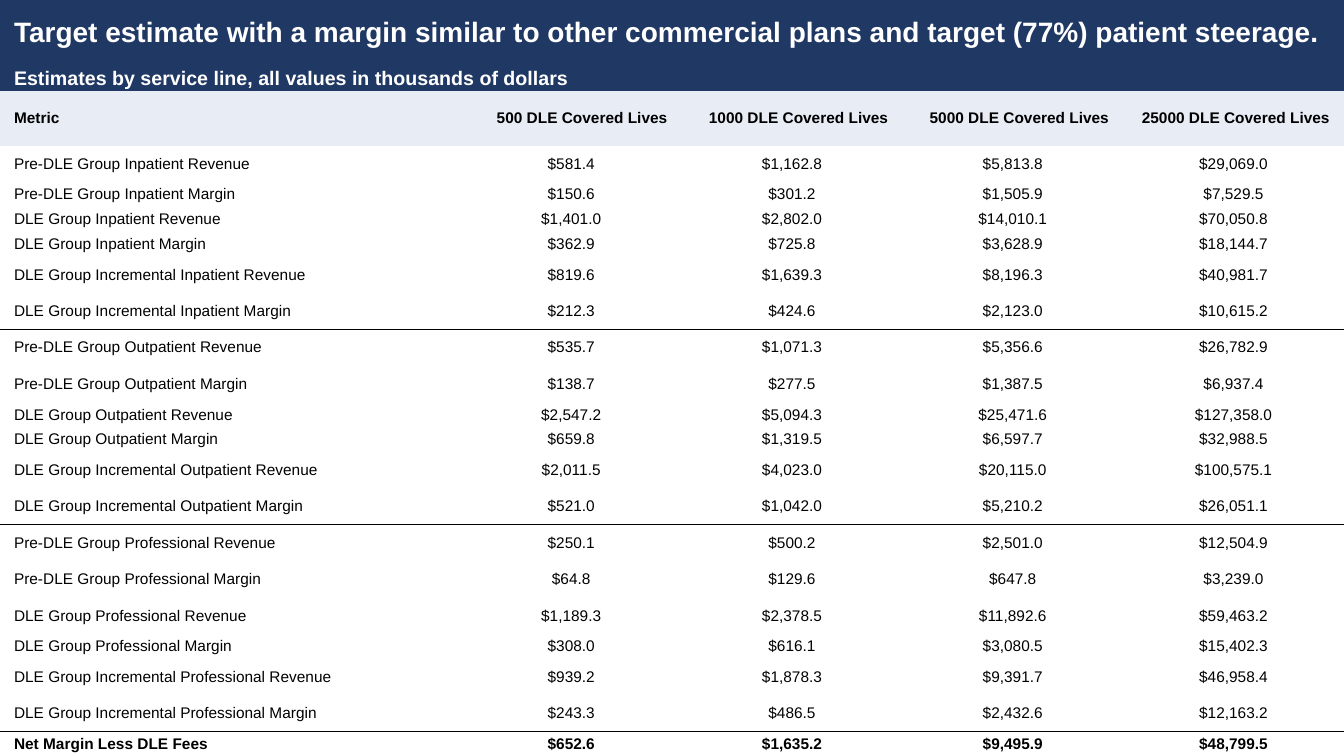
from lxml import etree
from pptx import Presentation
from pptx.dml.color import RGBColor
from pptx.enum.text import MSO_ANCHOR, PP_ALIGN
from pptx.oxml.ns import qn
from pptx.util import Pt

LEFT, CENTER, RIGHT = PP_ALIGN.LEFT, PP_ALIGN.CENTER, PP_ALIGN.RIGHT
MIDDLE = MSO_ANCHOR.MIDDLE
PLAIN_TABLE_STYLE = "{2D5ABB26-0587-4C30-8999-92F81FD0307C}"
COLORS = {"navy": "203864", "pale": "E7ECF5", "white": "FFFFFF", "black": "000000"}

# Row heights and column widths in points
TALL, SHORT = 26.05, 17.75
TITLE_HEIGHT, HEADER_HEIGHT = 47.1, 39.2
LABEL_WIDTH, VALUE_WIDTH = 329.2, 157.7

TITLE = ("Target estimate with a margin similar to other commercial plans "
         "and target (77%) patient steerage.")
SUBTITLE = "Estimates by service line, all values in thousands of dollars"
COVERED_LIVES = [500, 1000, 5000, 25000]
METRICS = ["Pre-DLE Group {} Revenue", "Pre-DLE Group {} Margin",
           "DLE Group {} Revenue", "DLE Group {} Margin",
           "DLE Group Incremental {} Revenue", "DLE Group Incremental {} Margin"]

# Per service line: row heights, then one row of values per metric
SERVICE_LINES = {
    "Inpatient": ([TALL, SHORT, SHORT, SHORT, TALL, TALL], [
        (581.4, 1162.8, 5813.8, 29069.0),
        (150.6, 301.2, 1505.9, 7529.5),
        (1401.0, 2802.0, 14010.1, 70050.8),
        (362.9, 725.8, 3628.9, 18144.7),
        (819.6, 1639.3, 8196.3, 40981.7),
        (212.3, 424.6, 2123.0, 10615.2)]),
    "Outpatient": ([TALL, TALL, SHORT, SHORT, TALL, TALL], [
        (535.7, 1071.3, 5356.6, 26782.9),
        (138.7, 277.5, 1387.5, 6937.4),
        (2547.2, 5094.3, 25471.6, 127358.0),
        (659.8, 1319.5, 6597.7, 32988.5),
        (2011.5, 4023.0, 20115.0, 100575.1),
        (521.0, 1042.0, 5210.2, 26051.1)]),
    "Professional": ([TALL, TALL, TALL, SHORT, TALL, TALL], [
        (250.1, 500.2, 2501.0, 12504.9),
        (64.8, 129.6, 647.8, 3239.0),
        (1189.3, 2378.5, 11892.6, 59463.2),
        (308.0, 616.1, 3080.5, 15402.3),
        (939.2, 1878.3, 9391.7, 46958.4),
        (243.3, 486.5, 2432.6, 12163.2)]),
}
NET_MARGIN = (652.6, 1635.2, 9495.9, 48799.5)


class TableSlide:
    """Holds the text style, the slide and its table."""

    font_name = "Arial"
    body_size = 11
    indent = 10

    def __init__(self, deck):
        self.slide = deck.slides.add_slide(deck.slide_layouts[6])

    def add_table(self, heights, widths):
        frame = self.slide.shapes.add_table(
            len(heights), len(widths), Pt(0), Pt(0), Pt(sum(widths)), Pt(sum(heights)))
        self.table = frame.table
        self.table.horz_banding = False
        self.table.first_row = False
        self.table._tbl.tblPr.find(qn("a:tableStyleId")).text = PLAIN_TABLE_STYLE
        for row, height in zip(self.table.rows, heights):
            row.height = Pt(height)
        for column, width in zip(self.table.columns, widths):
            column.width = Pt(width)

    def write_cell(self, row, column, text, align=LEFT, size=body_size,
                   color="black", bold=False, fill=None):
        cell = self.table.cell(row, column)
        cell.margin_left = cell.margin_right = Pt(0)
        cell.margin_top = cell.margin_bottom = Pt(0)
        cell.vertical_anchor = MIDDLE
        if fill:
            cell.fill.solid()
            cell.fill.fore_color.rgb = RGBColor.from_string(COLORS[fill])
        else:
            cell.fill.background()
        para = cell.text_frame.paragraphs[0]
        para.text = text
        para.alignment = align
        properties = para._p.get_or_add_pPr()
        for side in ("marL", "marR"):
            properties.set(side, str(Pt(self.indent)))
        span = para.runs[0]
        span.font.name = self.font_name
        span.font.size = Pt(size)
        span.font.bold = bold
        span.font.color.rgb = RGBColor.from_string(COLORS[color])

    def write_banner(self, row, text, size):
        last = len(self.table.columns) - 1
        self.table.cell(row, 0).merge(self.table.cell(row, last))
        self.write_cell(row, 0, text, size=size, color="white", bold=True, fill="navy")

    def write_row(self, row, texts, align, bold=False, fill=None):
        for column, text in enumerate(texts):
            self.write_cell(row, column, text, align if column else LEFT,
                            bold=bold, fill=fill)

    def draw_borders(self, ruled_rows):
        """Rule off the bottom of the given rows; leave every other edge clear."""
        for index, row in enumerate(self.table.rows):
            edges = {"a:lnL": False, "a:lnR": False,
                     "a:lnT": index - 1 in ruled_rows, "a:lnB": index in ruled_rows}
            for cell in row.cells:
                properties = cell._tc.get_or_add_tcPr()
                for position, (edge, ruled) in enumerate(edges.items()):
                    line = etree.Element(qn(edge), w=str(Pt(1)))
                    if ruled:
                        paint = etree.SubElement(line, qn("a:solidFill"))
                        etree.SubElement(paint, qn("a:srgbClr"), val=COLORS["black"])
                    else:
                        etree.SubElement(line, qn("a:noFill"))
                    properties.insert(position, line)


def dollars(values):
    return [f"${value:,.1f}" for value in values]


def main():
    deck = Presentation()
    deck.slide_width, deck.slide_height = Pt(960), Pt(540)
    page = TableSlide(deck)

    # Table grid
    heights = [TITLE_HEIGHT, SHORT, HEADER_HEIGHT]
    for line_heights, _ in SERVICE_LINES.values():
        heights += line_heights
    heights.append(SHORT)
    page.add_table(heights, [LABEL_WIDTH] + [VALUE_WIDTH] * len(COVERED_LIVES))

    # Title rows and column headings
    page.write_banner(0, TITLE, 20)
    page.write_banner(1, SUBTITLE, 14)
    headings = ["Metric"] + [f"{lives} DLE Covered Lives" for lives in COVERED_LIVES]
    page.write_row(2, headings, RIGHT, bold=True, fill="pale")

    # Service lines
    row = 3
    ruled_rows = []
    for service, (_, rows) in SERVICE_LINES.items():
        for metric, values in zip(METRICS, rows):
            page.write_row(row, [metric.format(service)] + dollars(values), CENTER)
            row += 1
        ruled_rows.append(row - 1)

    # Total
    page.write_row(row, ["Net Margin Less DLE Fees"] + dollars(NET_MARGIN),
                   CENTER, bold=True)

    # A rule closes each service line
    page.draw_borders(ruled_rows)
    deck.save("out.pptx")


if __name__ == "__main__":
    main()
